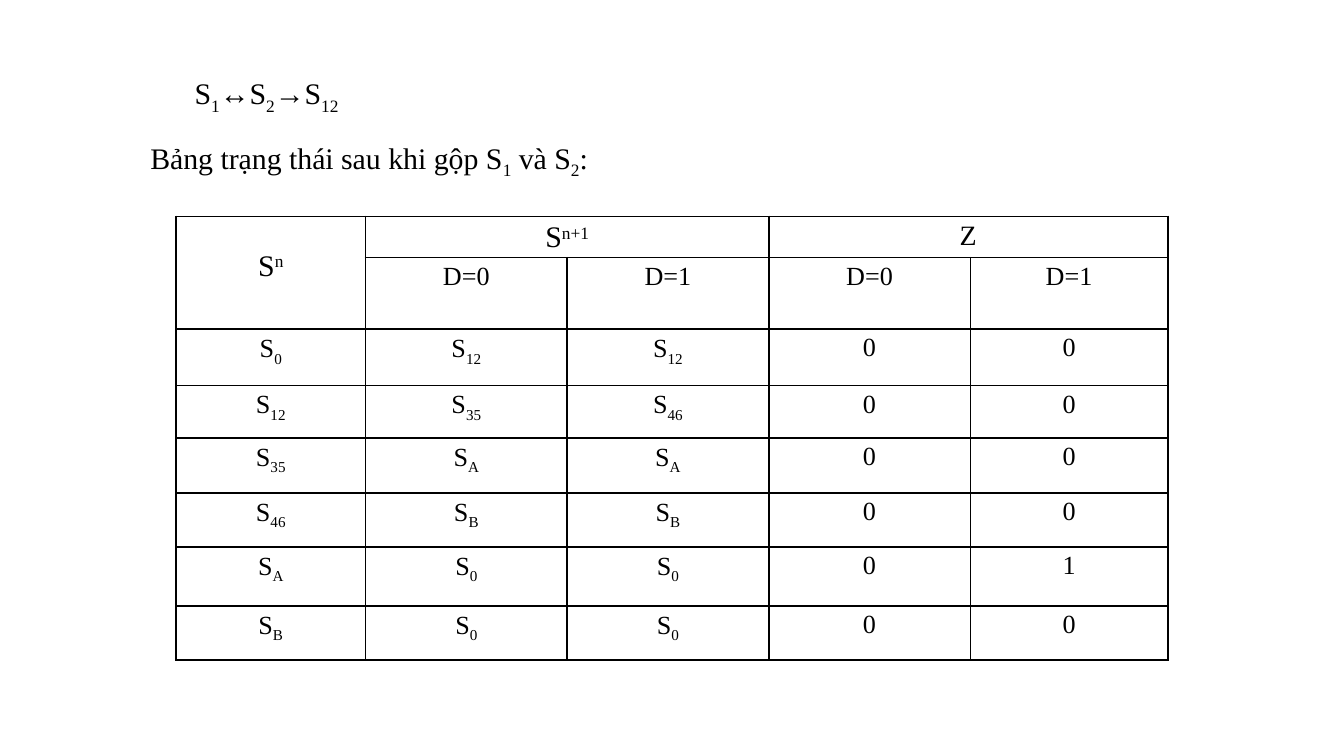
from dataclasses import dataclass

from lxml.etree import SubElement
from pptx import Presentation
from pptx.dml.color import RGBColor as Color
from pptx.enum.text import MSO_AUTO_SIZE as AutoSize, PP_ALIGN as Align
from pptx.oxml.ns import qn
from pptx.util import Inches, Pt


@dataclass(frozen=True)
class Theme:
    font: str = "Times New Roman"
    ink: str = "000000"
    paper: str = "FFFFFF"
    large: float = 16
    medium: float = 15
    small: float = 14
    border: float = 1


BASELINES = {"_": "-25000", "^": "30000"}


def write_text(frame, text, theme, size, align=None, line_spacing=None, space_after=None):
    paragraph = frame.paragraphs[0]
    paragraph.alignment = align
    paragraph.line_spacing = line_spacing
    paragraph.space_after = space_after
    for part in text.split("|"):
        run = paragraph.add_run()
        run.text = part.lstrip("_^")
        run.font.name = theme.font
        run.font.size = Pt(size)
        run.font.color.rgb = Color.from_string(theme.ink)
        if part[0] in BASELINES:
            run._r.get_or_add_rPr().set("baseline", BASELINES[part[0]])


class SlideBuilder:
    def __init__(self, slide, theme):
        self.slide = slide
        self.theme = theme

    def text_box(self, text, left, top, width, height):
        shape = self.slide.shapes.add_textbox(
            Inches(left), Inches(top), Inches(width), Inches(height))
        frame = shape.text_frame
        frame.word_wrap = True
        frame.auto_size = AutoSize.SHAPE_TO_FIT_TEXT
        write_text(frame, text, self.theme, self.theme.large)

    def style_cell(self, cell):
        cell.margin_left = cell.margin_right = Inches(0.07)
        cell.margin_top = cell.margin_bottom = 0
        properties = cell._tc.get_or_add_tcPr()
        for side in ("a:lnL", "a:lnR", "a:lnT", "a:lnB"):
            line = SubElement(properties, qn(side), w=str(Pt(self.theme.border)))
            fill = SubElement(line, qn("a:solidFill"))
            SubElement(fill, qn("a:srgbClr"), val=self.theme.ink)
        cell.fill.solid()
        cell.fill.fore_color.rgb = Color.from_string(self.theme.paper)

    def table(self, rows, left, top, widths, heights, merges, sizes, spacings):
        shape = self.slide.shapes.add_table(
            len(heights), len(widths), Inches(left), Inches(top),
            Inches(sum(widths)), Inches(sum(heights)))
        table = shape.table
        table.first_row = table.horz_banding = False
        for column, width in zip(table.columns, widths):
            column.width = Inches(width)
        for row, height in zip(table.rows, heights):
            row.height = Inches(height)
        for row_index, texts in enumerate(rows):
            for column_index, text in enumerate(texts):
                cell = table.cell(row_index, column_index)
                self.style_cell(cell)
                if text:
                    place = (row_index, column_index)
                    write_text(cell.text_frame, text, self.theme,
                               sizes.get(place, self.theme.small),
                               align=Align.CENTER,
                               line_spacing=spacings.get(place, 1.15),
                               space_after=Pt(10))
        for first, last in merges:
            table.cell(*first).merge(table.cell(*last))


def main():
    presentation = Presentation()
    presentation.slide_width = Inches(10)
    presentation.slide_height = Inches(10 * 9 / 16)
    theme = Theme()
    builder = SlideBuilder(
        presentation.slides.add_slide(presentation.slide_layouts[6]), theme)

    builder.text_box("S|_1|↔S|_2|→S|_12", 1.35, 0.51, 7.55, 0.64)
    builder.text_box("Bảng trạng thái sau khi gộp S|_1| và S|_2|:",
                     1.02, 0.99, 6.56, 0.64)

    transitions = [
        ("0", "12", "12", "0", "0"),
        ("12", "35", "46", "0", "0"),
        ("35", "A", "A", "0", "0"),
        ("46", "B", "B", "0", "0"),
        ("A", "0", "0", "0", "1"),
        ("B", "0", "0", "0", "0"),
    ]
    rows = [("S|^n", "S|^n+1", "", "Z", ""),
            ("", "D=0", "D=1", "D=0", "D=1")]
    for *states, output_0, output_1 in transitions:
        rows.append([f"S|_{state}" for state in states] + [output_0, output_1])

    builder.table(
        rows, 1.31, 1.61,
        widths=[1.41, 1.5, 1.5, 1.5, 1.47],
        heights=[0.29, 0.36, 0.42, 0.39, 0.41, 0.4, 0.44, 0.4],
        merges=[((0, 0), (1, 0)), ((0, 1), (0, 2)), ((0, 3), (0, 4))],
        sizes={(0, 0): theme.large, (0, 1): theme.large, (0, 3): theme.medium},
        spacings={(0, 0): 2.0})

    presentation.save("out.pptx")


if __name__ == "__main__":
    main()
